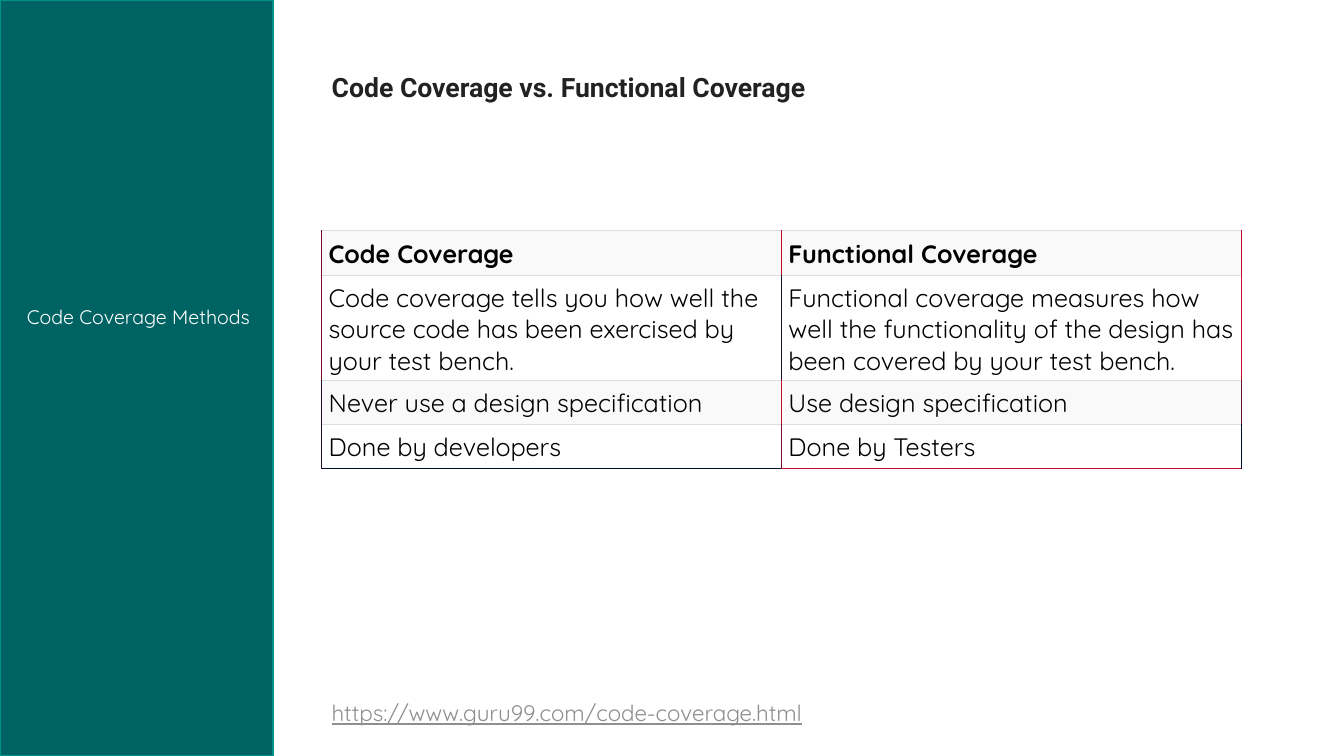
"""Build a slide that compares code coverage with functional coverage."""
import dataclasses

import lxml.etree
import pptx
import pptx.dml.color
import pptx.enum.shapes
import pptx.enum.text
import pptx.oxml.ns
import pptx.util

Inches = pptx.util.Inches
Pt = pptx.util.Pt
Align = pptx.enum.text.PP_ALIGN
Anchor = pptx.enum.text.MSO_ANCHOR


@dataclasses.dataclass(frozen=True)
class Theme:
    font: str = "Quicksand"
    head: str = "Roboto"
    panel: str = "006363"
    edge: str = "00928A"
    white: str = "FFFFFF"
    band: str = "F9F9F9"
    rule: str = "DDDDDD"
    ink: str = "000000"
    title: str = "222222"
    link: str = "8F8F8F"
    small: int = 14
    note: int = 16
    body: int = 18
    large: int = 19


theme = Theme()


def rgb(code):
    return pptx.dml.color.RGBColor.from_string(code)


def write(frame, text, size=theme.body, color=theme.ink, face=theme.font,
          bold=False, under=False, align=Align.LEFT):
    frame.word_wrap = True
    frame.vertical_anchor = Anchor.TOP
    line = frame.paragraphs[0]
    line.alignment = align
    run = line.add_run()
    run.text = text
    run.font.size = Pt(size)
    run.font.name = face
    run.font.bold = bold
    run.font.underline = under
    run.font.color.rgb = rgb(color)


deck = pptx.Presentation()
deck.slide_width = Inches(13.33)
deck.slide_height = Inches(7.5)
slide = deck.slides.add_slide(deck.slide_layouts[5])
shapes = slide.shapes

panel = shapes.add_shape(pptx.enum.shapes.MSO_SHAPE.RECTANGLE,
                         0, 0, Inches(2.71), deck.slide_height)
panel.shadow.inherit = False
panel.fill.solid()
panel.fill.fore_color.rgb = rgb(theme.panel)
panel.line.color.rgb = rgb(theme.edge)
panel.line.width = Pt(1.25)

left = Inches(3.19)
link = shapes.add_textbox(left, Inches(6.89), Inches(7.4), Inches(0.37))
write(link.text_frame, "https://www.guru99.com/code-coverage.html",
      size=theme.note, color=theme.link, under=True)
label = shapes.add_textbox(Inches(0.08), Inches(2.98), Inches(2.5), Inches(0.88))
write(label.text_frame, "Code Coverage Methods",
      size=theme.small, color=theme.white, align=Align.RIGHT)

title = shapes.title
title.left, title.top = left, Inches(0.65)
title.width, title.height = Inches(7.93), Inches(0.72)
title.fill.solid()
title.fill.fore_color.rgb = rgb(theme.white)
title.text_frame.auto_size = pptx.enum.text.MSO_AUTO_SIZE.NONE
write(title.text_frame, "Code Coverage vs. Functional Coverage",
      size=theme.large, color=theme.title, face=theme.head, bold=True)

rows = [
    ("Code Coverage", "Functional Coverage"),
    ("Code coverage tells you how well the source code has been exercised by your test bench.",
     "Functional coverage measures how well the functionality of the design has been covered by your test bench."),
    ("Never use a design specification", "Use design specification"),
    ("Done by developers", "Done by Testers"),
]
tall = [0.44, 1.03, 0.44, 0.43]
sides = [
    ("80072D", "C0082D", "C0072D"),
    ("800C2D", "200E2D", "C00F2D"),
    ("200C2D", "C00F2D", "60112D"),
    ("20102D", "800C2D", "000A2D"),
]
base = ("000B2D", "C00B2D")

table = shapes.add_table(len(rows), 2, left, Inches(2.29),
                         Inches(9.12), Inches(sum(tall))).table
for col in table.columns:
    col.width = Inches(4.56)
for r, texts in enumerate(rows):
    table.rows[r].height = Inches(tall[r])
    last = r == len(rows) - 1
    for c, text in enumerate(texts):
        cell = table.cell(r, c)
        cell.margin_left = cell.margin_right = Inches(0.07)
        cell.margin_top = cell.margin_bottom = Inches(0.07)
        write(cell.text_frame, text, bold=r == 0)
        props = cell._tc.get_or_add_tcPr()
        edges = [
            ("L", sides[r][c], 1),
            ("R", sides[r][c + 1], 1),
            ("T", theme.rule, 0.6),
            ("B", base[c] if last else theme.rule, 1 if last else 0.6),
        ]
        for side, color, width in edges:
            line = lxml.etree.SubElement(props, pptx.oxml.ns.qn(f"a:ln{side}"),
                                         w=str(Pt(width)))
            fill = lxml.etree.SubElement(line, pptx.oxml.ns.qn("a:solidFill"))
            lxml.etree.SubElement(fill, pptx.oxml.ns.qn("a:srgbClr"), val=color)
        cell.fill.solid()
        cell.fill.fore_color.rgb = rgb(theme.white if r % 2 else theme.band)

deck.save("out.pptx")
